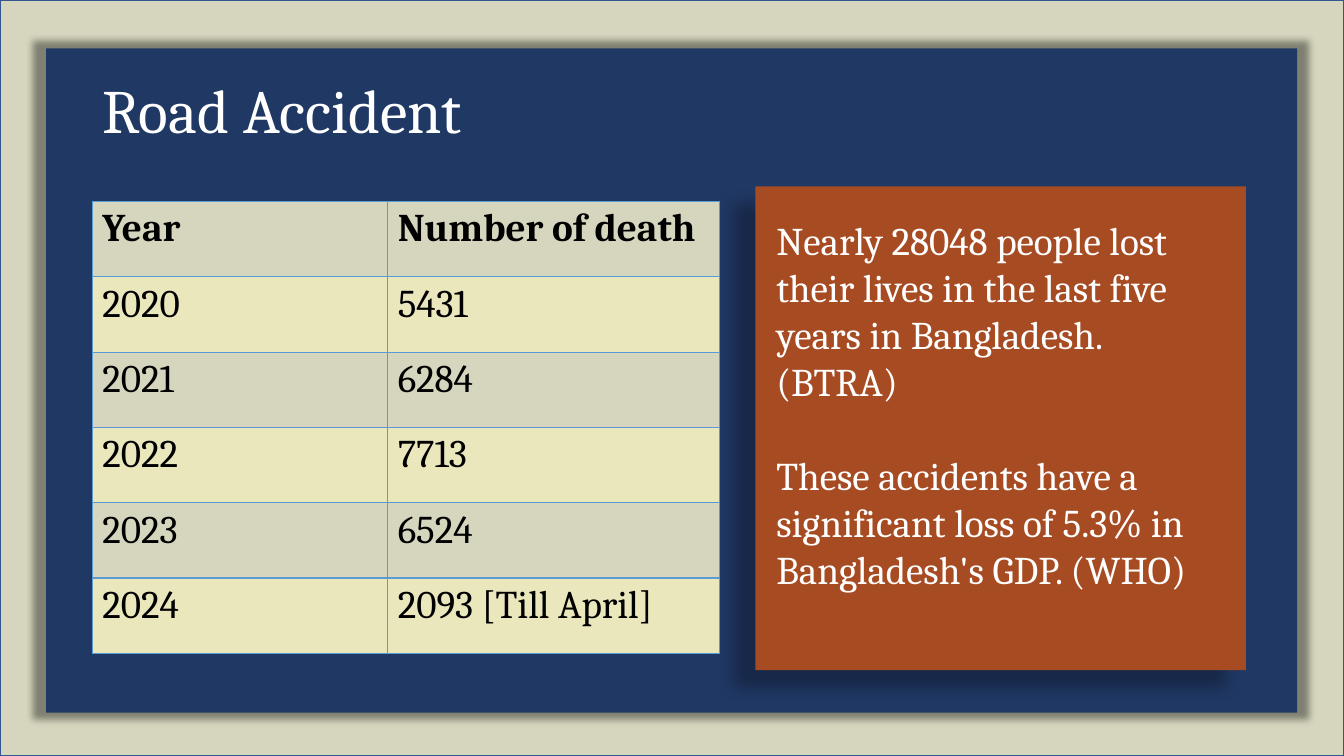
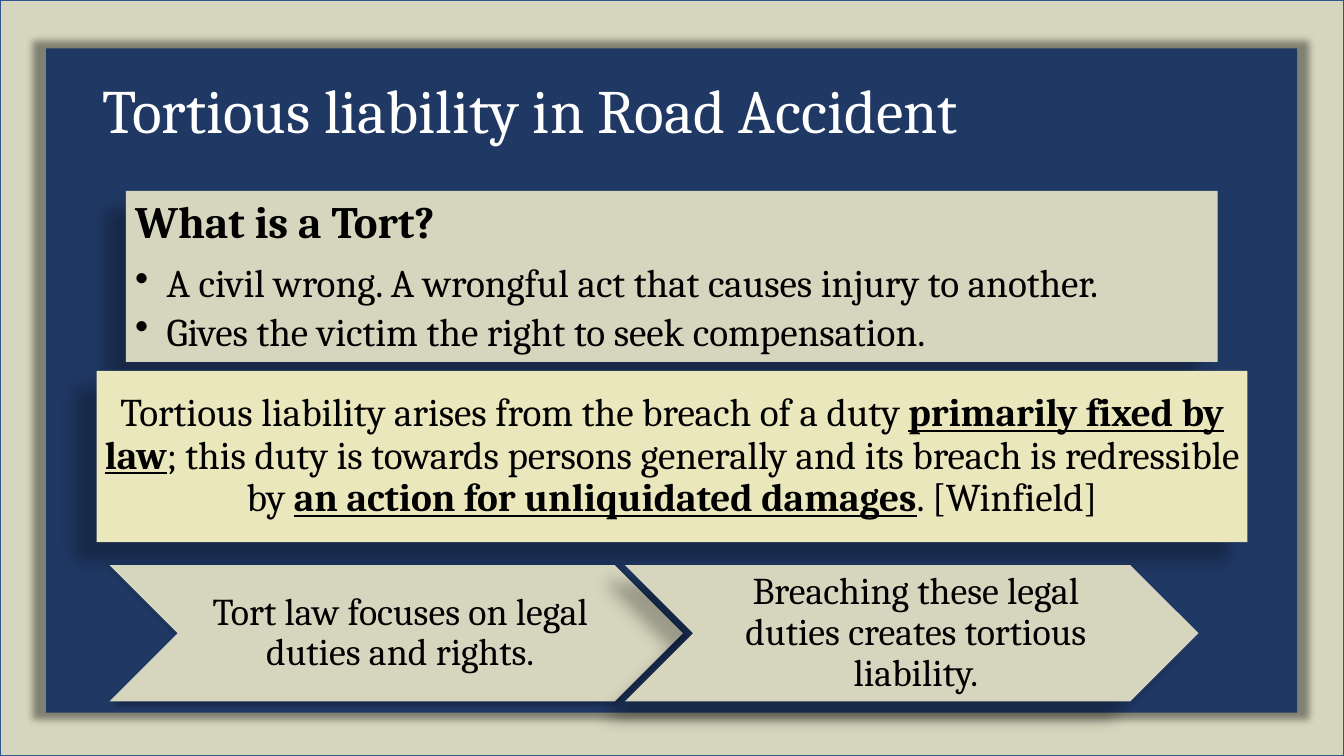
from dataclasses import dataclass

from lxml.etree import SubElement
from pptx import Presentation
from pptx.dml.color import RGBColor
from pptx.enum.shapes import MSO_SHAPE
from pptx.enum.text import MSO_ANCHOR, PP_ALIGN
from pptx.oxml.ns import qn
from pptx.util import Pt


@dataclass(frozen=True)
class Theme:
    font: str = "Cambria"
    stone: str = "D6D6BE"
    cream: str = "EBE7BD"
    navy: str = "203864"
    rust: str = "A74B22"
    edge: str = "325491"
    grid: str = "5B9BD5"
    white: str = "FFFFFF"
    black: str = "000000"
    title: int = 44
    heading: int = 32
    body: int = 28
    step: int = 27


@dataclass(frozen=True)
class Shadow:
    opacity: int
    blur: float
    distance: float = 0
    angle: int = 0
    scale: int = 100


THEME = Theme()
GLOW = Shadow(40, 5, scale=102)
CAST = Shadow(28, 11.8, 19.7, 141)
SOFT = Shadow(30, 4.5, 2.6, 53)

WIDTH, HEIGHT = 960, 540
MARGIN = 66

DEATHS = [
    ("Year", "Number of death"),
    ("2020", "5431"),
    ("2021", "6284"),
    ("2022", "7713"),
    ("2023", "6524"),
    ("2024", "2093 [Till April]"),
]


def rgb(color):
    return RGBColor.from_string(color)


# Text
def add_run(paragraph, text, size, color=THEME.black, bold=False, underline=False):
    run = paragraph.add_run()
    run.text = text
    font = run.font
    font.name, font.size = THEME.font, Pt(size)
    font.bold, font.underline = bold, underline
    font.color.rgb = rgb(color)


def next_paragraph(frame, align=PP_ALIGN.LEFT, spacing=0.9, before=0, after=0):
    first = frame.paragraphs[0]
    paragraph = frame.add_paragraph() if first.runs else first
    paragraph.alignment, paragraph.line_spacing = align, spacing
    paragraph.space_before, paragraph.space_after = Pt(before), Pt(after)
    return paragraph


def add_bullet(paragraph, indent):
    properties = paragraph._p.get_or_add_pPr()
    properties.set("marL", str(Pt(indent)))
    properties.set("indent", str(-Pt(indent)))
    SubElement(properties, qn("a:buChar")).set("char", "•")


def set_frame(shape, anchor, left=7.2, top=3.6, right=7.2, bottom=3.6):
    frame = shape.text_frame
    frame.word_wrap, frame.vertical_anchor = True, anchor
    frame.margin_left, frame.margin_top = Pt(left), Pt(top)
    frame.margin_right, frame.margin_bottom = Pt(right), Pt(bottom)
    return frame


# Shapes
def add_shadow(shape, shadow):
    effects = shape._element.spPr.find(qn("a:effectLst"))
    outer = SubElement(effects, qn("a:outerShdw"))
    settings = {
        "blurRad": Pt(shadow.blur),
        "dist": Pt(shadow.distance),
        "dir": shadow.angle * 60000,
        "sx": shadow.scale * 1000,
        "sy": shadow.scale * 1000,
        "algn": "ctr",
        "rotWithShape": 0,
    }
    for name, value in settings.items():
        outer.set(name, str(value))
    color = SubElement(outer, qn("a:srgbClr"))
    color.set("val", THEME.black)
    SubElement(color, qn("a:alpha")).set("val", str(shadow.opacity * 1000))


def add_panel(slide, box, fill, shadow=None, line=None, kind=MSO_SHAPE.RECTANGLE):
    shape = slide.shapes.add_shape(kind, *map(Pt, box))
    shape.shadow.inherit = False
    shape.fill.solid()
    shape.fill.fore_color.rgb = rgb(fill)
    if line:
        shape.line.color.rgb = rgb(line)
        shape.line.width = Pt(1)
    else:
        shape.line.fill.background()
    if shadow:
        add_shadow(shape, shadow)
    return shape


def add_step(slide, left, text, shadow):
    chevron = add_panel(slide, (left, 403.7, 409.5, 97.2), THEME.stone, shadow,
                        kind=MSO_SHAPE.CHEVRON)
    frame = set_frame(chevron, MSO_ANCHOR.MIDDLE, 8.6, 2.9, 2.9, 2.9)
    add_run(next_paragraph(frame, PP_ALIGN.CENTER), text, THEME.step)


# Table
def set_borders(cell):
    properties = cell._tc.get_or_add_tcPr()
    for side in ("lnL", "lnR", "lnT", "lnB"):
        border = SubElement(properties, qn(f"a:{side}"))
        border.set("w", str(Pt(1)))
        fill = SubElement(border, qn("a:solidFill"))
        SubElement(fill, qn("a:srgbClr")).set("val", THEME.grid)


def add_table(slide, rows, left, top, widths, row_height):
    table = slide.shapes.add_table(
        len(rows), len(widths), Pt(left), Pt(top),
        Pt(sum(widths)), Pt(row_height * len(rows))).table
    table.first_row = table.horz_banding = False
    for column, width in zip(table.columns, widths):
        column.width = Pt(width)
    for row_index, values in enumerate(rows):
        for column_index, value in enumerate(values):
            cell = table.cell(row_index, column_index)
            set_borders(cell)
            cell.fill.solid()
            cell.fill.fore_color.rgb = rgb(
                THEME.cream if row_index % 2 else THEME.stone)
            paragraph = next_paragraph(cell.text_frame, spacing=1.0)
            add_run(paragraph, value, THEME.body, bold=row_index == 0)


# Slides
def add_slide(presentation, title):
    slide = presentation.slides.add_slide(presentation.slide_layouts[6])
    add_panel(slide, (0, 0, WIDTH, HEIGHT), THEME.stone, line=THEME.edge)
    add_panel(slide, (33, 34.5, 893.5, 474.5), THEME.navy, GLOW)
    box = slide.shapes.add_textbox(
        Pt(MARGIN), Pt(28.8), Pt(WIDTH - 2 * MARGIN), Pt(104.4))
    frame = set_frame(box, MSO_ANCHOR.MIDDLE)
    add_run(next_paragraph(frame), title, THEME.title, THEME.white)
    return slide


def build_accident_slide(presentation):
    slide = add_slide(presentation, "Road Accident")
    add_table(slide, DEATHS, MARGIN, 144, (211, 237), 53.8)
    panel = add_panel(slide, (539.5, 133.2, 350.5, 345.6), THEME.rust, CAST)
    frame = set_frame(panel, MSO_ANCHOR.TOP, 15, 21, 18.7)
    facts = (
        "Nearly 28048 people lost their lives in the last five years in "
        "Bangladesh. (BTRA)",
        "These accidents have a significant loss of 5.3% in Bangladesh's "
        "GDP. (WHO)",
    )
    for index, fact in enumerate(facts):
        paragraph = next_paragraph(frame, spacing=1.0, before=33.6 * index)
        add_run(paragraph, fact, THEME.body, THEME.white)


def build_liability_slide(presentation):
    slide = add_slide(presentation, "Tortious liability in Road Accident")

    # Definition
    definition = add_panel(slide, (90, 136.3, 779.8, 122.3), THEME.stone, CAST)
    frame = set_frame(definition, MSO_ANCHOR.TOP, 6.5, 6.5, 6.5, 6.5)
    add_run(next_paragraph(frame, after=11.2), "What is a Tort?",
            THEME.heading, bold=True)
    for point in ("A civil wrong. A wrongful act that causes injury to another.",
                  "Gives the victim the right to seek compensation."):
        paragraph = next_paragraph(frame, after=4.2)
        add_bullet(paragraph, 22.5)
        add_run(paragraph, point, THEME.body)

    # Quotation, with its key phrases stressed
    quotation = add_panel(slide, (69, 265, 822, 122.3), THEME.cream, CAST)
    frame = set_frame(quotation, MSO_ANCHOR.MIDDLE, 5.8, 5.8, 5.8, 5.8)
    paragraph = next_paragraph(frame, PP_ALIGN.CENTER)
    for text, stressed in (
        ("Tortious liability arises from the breach of a duty ", False),
        ("primarily fixed by law", True),
        ("; this duty is towards persons generally and its breach is "
         "redressible by ", False),
        ("an action for unliquidated damages", True),
        (". [Winfield]", False),
    ):
        add_run(paragraph, text, THEME.body, bold=stressed, underline=stressed)

    # Steps
    add_step(slide, 78.3, "Tort law focuses on legal duties and rights.", SOFT)
    add_step(slide, 446.6,
             "Breaching these legal duties creates tortious liability.", CAST)


def main():
    presentation = Presentation()
    presentation.slide_width, presentation.slide_height = Pt(WIDTH), Pt(HEIGHT)
    build_accident_slide(presentation)
    build_liability_slide(presentation)
    presentation.save("out.pptx")


if __name__ == "__main__":
    main()
